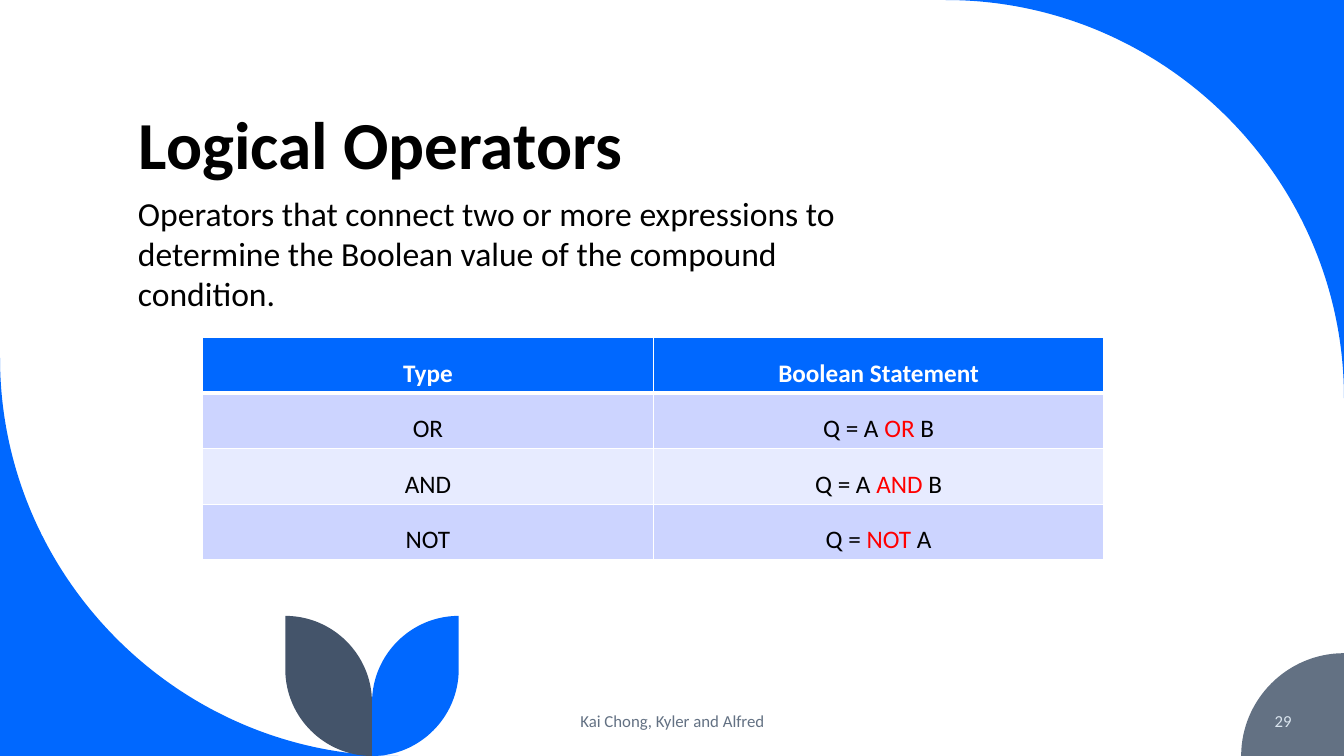
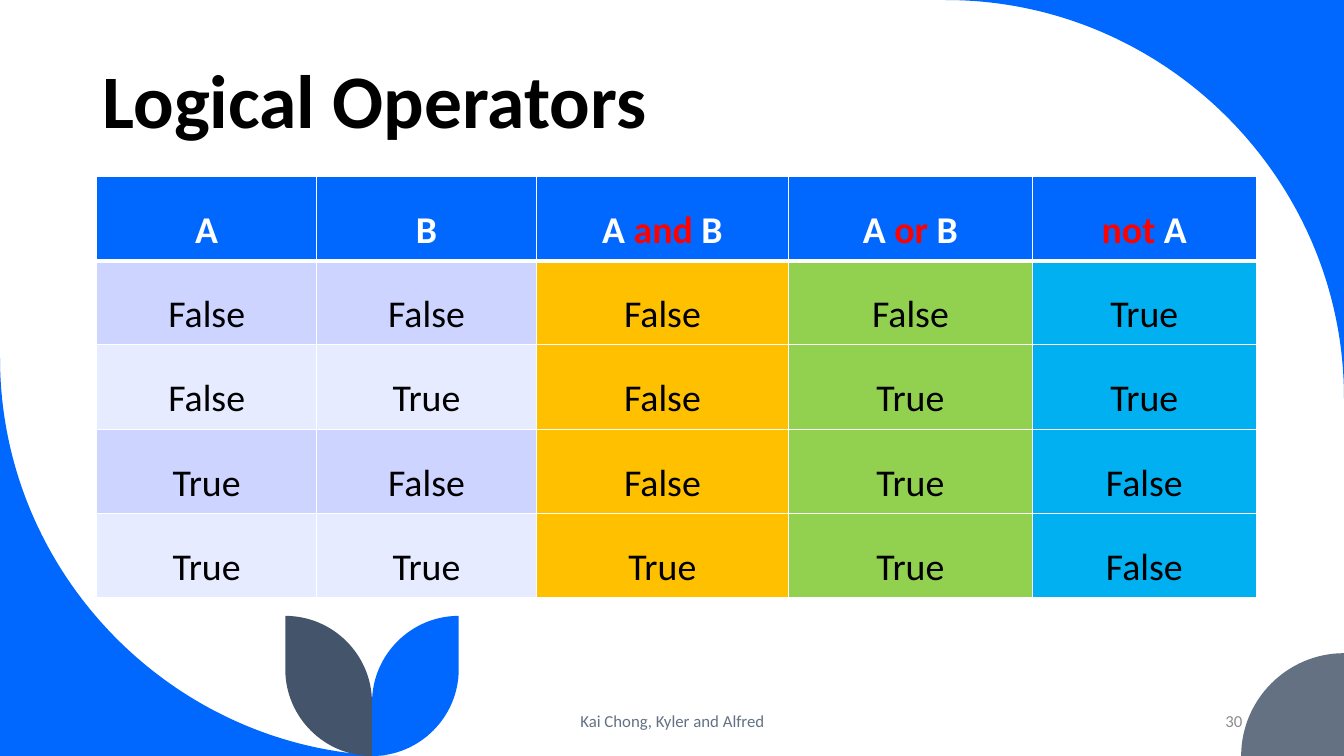
from lxml.etree import SubElement
from pptx import Presentation
from pptx.dml.color import RGBColor
from pptx.enum.text import MSO_ANCHOR as Anchor, PP_ALIGN as Align
from pptx.oxml.ns import qn
from pptx.util import Inches, Pt

FONT = "Calibri"
BLUE, SLATE, NAVY = "0068FF", "637183", "44546A"
WHITE, BLACK, RED = "FFFFFF", "000000", "FF0000"
BANDS = ("CCD4FF", "E7EBFF")
WIDTH, HEIGHT = 13.33, 7.5
SWEEP = 3.95  # radius of the two large corners
BADGE = 1.02  # radius of the page number corner
LEAF = 0.86  # radius of the leaf curves
LEAF_HEIGHT = 1.39
STEM = 3.69  # where the two leaves meet
ROUND = 0.55  # control point distance of a quarter circle, per radius
UNITS = 1000  # freeform units per inch


def color(value):
    return RGBColor.from_string(value)


def quarter(start, corner, end):
    """Control points and end of a quarter circle whose tangents meet at corner."""
    controls = [tuple(p + ROUND * (c - p) for p, c in zip(point, corner))
                for point in (start, end)]
    return [*controls, end]


def add_outline(page, fill, start, *steps):
    """Draw steps of one point as lines and steps of three as curves."""
    points = [(x * UNITS, y * UNITS) for step in steps for x, y in step]
    builder = page.shapes.build_freeform(
        start[0] * UNITS, start[1] * UNITS, scale=Inches(1) / UNITS)
    builder.add_line_segments(points, close=True)
    shape = builder.convert_to_shape()
    lines = iter(list(shape._element.iter(qn("a:lnTo"))))
    for step in steps:
        segment = [next(lines) for _ in step]
        if len(step) == 3:
            segment[0].tag = qn("a:cubicBezTo")
            for line in segment[1:]:
                segment[0].append(line[0])
                line.getparent().remove(line)
    shape.shadow.inherit = False
    shape.fill.solid()
    shape.fill.fore_color.rgb = color(fill)
    shape.line.fill.background()


def add_corner(page, fill, start, tangent, end, tip):
    add_outline(page, fill, start, quarter(start, tangent, end), [tip])


def add_leaf(page, fill, side):
    """Add a leaf that leans right (side 1) or left (side -1) of the stem."""
    outer, top = STEM + side * LEAF, HEIGHT - LEAF_HEIGHT
    tip, shoulder = (outer, top), (outer, HEIGHT - LEAF)
    foot, inner = (STEM, HEIGHT), (STEM, top + LEAF)
    add_outline(page, fill, tip, [shoulder],
                quarter(shoulder, (outer, HEIGHT), foot),
                [inner], quarter(inner, (STEM, top), tip))


def add_decor(page):
    top_right, bottom_left = (WIDTH, 0), (0, HEIGHT)
    add_corner(page, BLUE, (WIDTH - SWEEP, 0), top_right, (WIDTH, SWEEP),
               top_right)
    add_corner(page, BLUE, (0, HEIGHT - SWEEP), bottom_left, (SWEEP, HEIGHT),
               bottom_left)
    add_corner(page, SLATE, (WIDTH - BADGE, HEIGHT),
               (WIDTH - BADGE, HEIGHT - BADGE), (WIDTH, HEIGHT - BADGE),
               (WIDTH, HEIGHT))
    add_leaf(page, BLUE, 1)
    add_leaf(page, NAVY, -1)


def add_span(para, text, size, ink, bold=False):
    span = para.add_run()
    span.text = text
    span.font.name = FONT
    span.font.size = Pt(size)
    span.font.bold = bold
    span.font.color.rgb = color(ink)


def add_text(page, area, text, size, ink=BLACK, bold=False,
             align=Align.LEFT, anchor=Anchor.TOP):
    frame = page.shapes.add_textbox(*map(Inches, area)).text_frame
    frame.word_wrap = True
    frame.vertical_anchor = anchor
    para = frame.paragraphs[0]
    para.alignment = align
    add_span(para, text, size, ink, bold)
    return para


def add_title(page, area, size):
    para = add_text(page, area, "Logical Operators", size, bold=True,
                    anchor=Anchor.BOTTOM)
    para.line_spacing = 0.9


def add_footer(page, number, left, width, ink):
    add_text(page, (4.42, 6.95, 4.5, 0.4), "Kai Chong, Kyler and Alfred", 12,
             SLATE, align=Align.CENTER, anchor=Anchor.MIDDLE)
    add_text(page, (left, 6.95, width, 0.4), number, 12, ink,
             align=Align.RIGHT, anchor=Anchor.MIDDLE)


def set_borders(cell, top, bottom):
    props = cell._tc.get_or_add_tcPr()
    sides = {"L": 1, "R": 1, "T": top, "B": bottom}
    for place, (side, points) in enumerate(sides.items()):
        line = SubElement(props, qn(f"a:ln{side}"), w=str(Pt(points)))
        fill = SubElement(line, qn("a:solidFill"))
        SubElement(fill, qn("a:srgbClr"), val=WHITE)
        props.insert(place, line)


def fill_cell(cell, text, size, fill, header, margins):
    """Write the text centred; words between asterisks turn red."""
    cell.fill.solid()
    cell.fill.fore_color.rgb = color(fill)
    across, down = map(Inches, margins)
    cell.margin_left = cell.margin_right = across
    cell.margin_top = cell.margin_bottom = down
    para = cell.text_frame.paragraphs[0]
    para.alignment = Align.CENTER
    para.line_spacing = 1.5
    ink = WHITE if header else BLACK
    for index, piece in enumerate(text.split("*")):
        if piece:
            add_span(para, piece, size, RED if index % 2 else ink, header)


def add_grid(page, left, top, widths, row_height, rows, size,
             column_fills=None, margins=(0.1, 0.05)):
    table = page.shapes.add_table(
        len(rows), len(widths), Inches(left), Inches(top),
        Inches(sum(widths)), Inches(row_height * len(rows))).table
    for column, width in zip(table.columns, widths):
        column.width = Inches(width)
    for r, texts in enumerate(rows):
        band = BANDS[(r - 1) % 2]
        for c, text in enumerate(texts):
            fill = (column_fills or {}).get(c, band) if r else BLUE
            cell = table.cell(r, c)
            fill_cell(cell, text, size, fill, r == 0, margins)
            set_borders(cell, 3 if r == 1 else 1, 3 if r == 0 else 1)


def add_page(deck):
    page = deck.slides.add_slide(deck.slide_layouts[6])
    add_decor(page)
    return page


def build_operators(deck):
    page = add_page(deck)
    add_title(page, (1.28, 0.42, 10.69, 1.45), 48)
    add_footer(page, "29", 11.1, 1.81, "DAE5EF")
    add_text(page, (1.27, 1.86, 7.84, 1.31),
             "Operators that connect two or more expressions to determine "
             "the Boolean value of the compound condition.", 24)
    rows = [
        ("Type", "Boolean Statement"),
        ("OR", "Q = A *OR* B"),
        ("AND", "Q = A *AND* B"),
        ("NOT", "Q = *NOT* A"),
    ]
    add_grid(page, 2.01, 3.35, (4.47, 4.47), 0.55, rows, 18)


def build_truth_table(deck):
    page = add_page(deck)
    add_title(page, (0.92, 0.47, 11.5, 1.02), 54)
    add_footer(page, "30", 9.42, 3, "8C8C8C")
    rows = [("A", "B", "A *and* B", "A *or* B", "*not* A")]
    for a in (False, True):
        for b in (False, True):
            rows.append([str(value) for value in (a, b, a and b, a or b, not a)])
    add_grid(page, 0.96, 1.75, (2.18, 2.18, 2.5, 2.42, 2.22), 0.8, rows, 27,
             {2: "FFC000", 3: "92D050", 4: "00B0F0"}, (0.15, 0.08))


def main():
    deck = Presentation()
    deck.slide_width, deck.slide_height = Inches(WIDTH), Inches(HEIGHT)
    build_operators(deck)
    build_truth_table(deck)
    deck.save("out.pptx")


if __name__ == "__main__":
    main()
